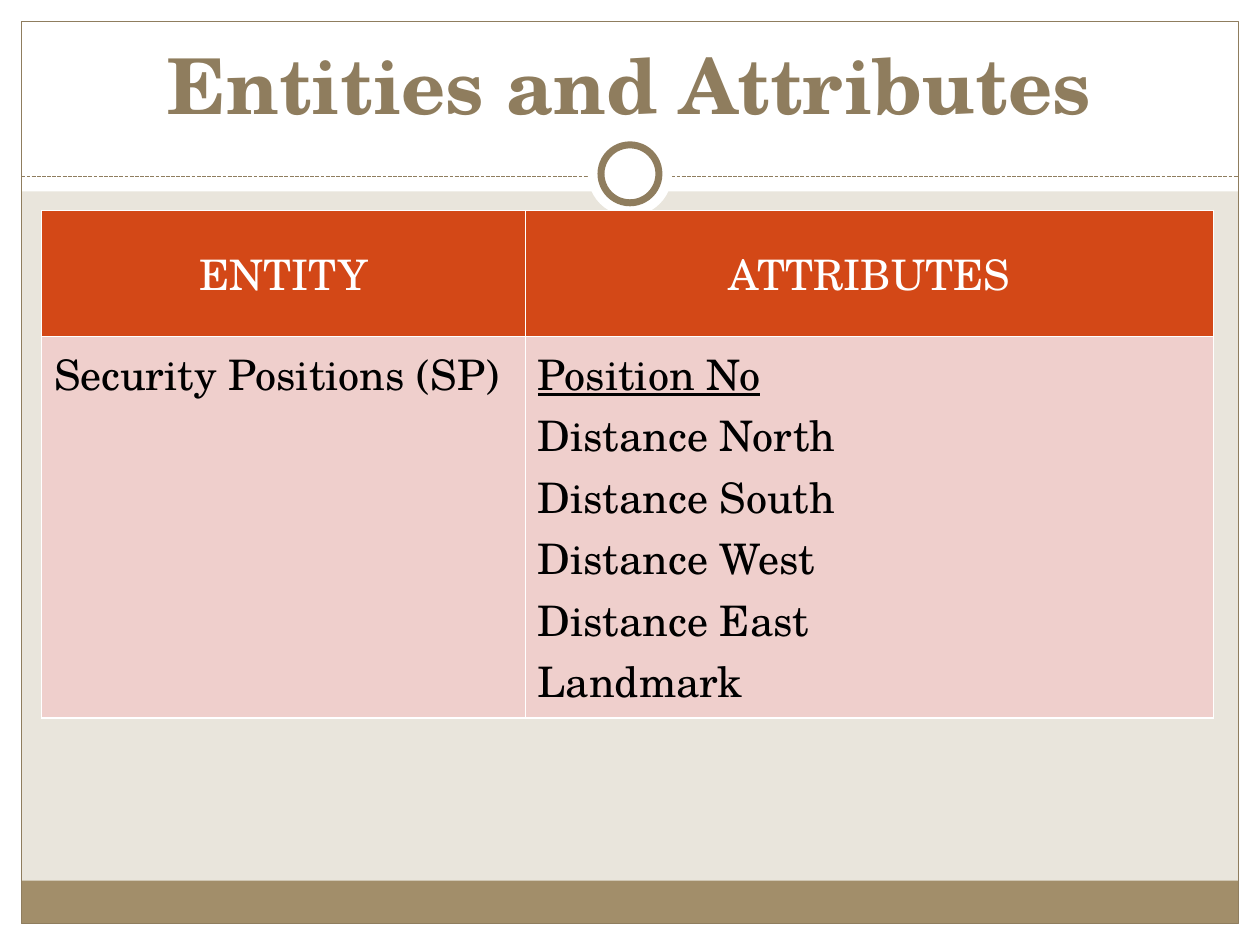
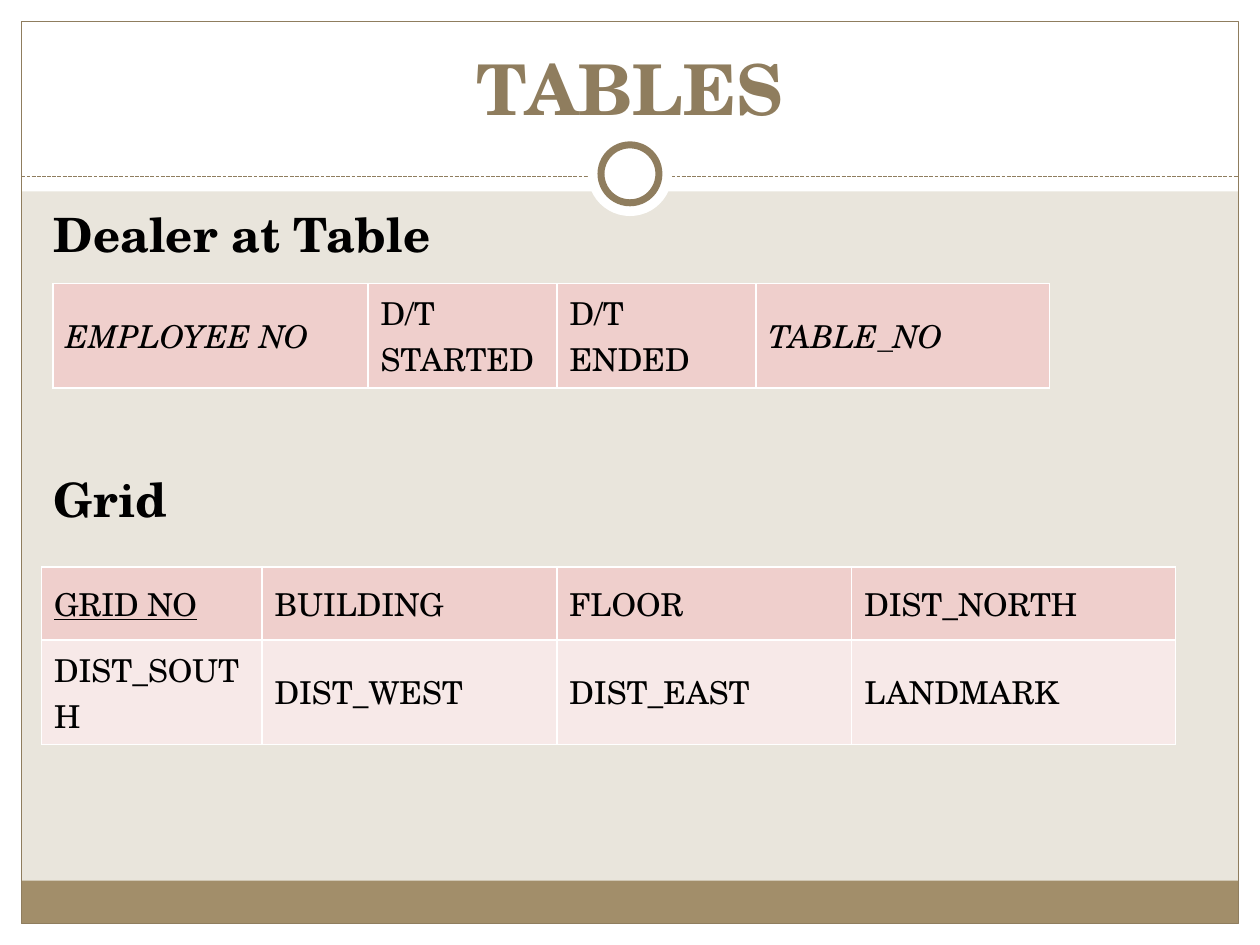
from lxml import etree
from pptx import Presentation, util as u
from pptx.dml.color import RGBColor
from pptx.enum import dml, shapes, text
from pptx.oxml.ns import qn

WIDTH, HEIGHT = 10, 7.5
MARGIN = 0.17
HEADER_HEIGHT = 1.52
FOOTER_HEIGHT = 0.34
RULE_Y = 1.4
RING_Y = 1.38
LEFT = 0.33

FONT = "TeX Gyre Schola"
WHITE = RGBColor(0xFF, 0xFF, 0xFF)
BLACK = RGBColor(0, 0, 0)
SAND = RGBColor(0xE9, 0xE5, 0xDC)
TAN = RGBColor(0xA2, 0x8E, 0x6A)
BROWN = RGBColor(0x8F, 0x7D, 0x5E)
ORANGE = RGBColor(0xD3, 0x48, 0x17)
PINK = RGBColor(0xEF, 0xCF, 0xCC)
PALE_PINK = RGBColor(0xF7, 0xE9, 0xE8)

# A cell is a list of lines; a line starting with "_" is underlined (primary key),
# one starting with "/" is italic (foreign key).
ENTITY_TABLE = {
    "at": (LEFT, 1.67), "columns": [3.84, 5.46], "heights": [1, 3.03],
    "size": 24, "fills": [ORANGE, PINK], "header": True,
    "anchors": [text.MSO_ANCHOR.MIDDLE, text.MSO_ANCHOR.TOP],
    "rows": [
        [["ENTITY"], ["ATTRIBUTES"]],
        [["Security Positions (SP)"],
         ["_Position No", "Distance North", "Distance South",
          "Distance West", "Distance East", "Landmark"]],
    ],
}
DEALER_TABLE = {
    "at": (0.42, 2.25), "columns": [2.5, 1.5, 1.58, 2.33], "heights": [0.83],
    "size": 18, "fills": [PINK], "header": False,
    "anchors": [text.MSO_ANCHOR.MIDDLE],
    "rows": [[["/EMPLOYEE NO"], ["D/T STARTED"], ["D/T ENDED"], ["/TABLE_NO"]]],
}
GRID_TABLE = {
    "at": (LEFT, 4.5), "columns": [1.75, 2.34, 2.34, 2.57], "heights": [0.58, 0.83],
    "size": 18, "fills": [PINK, PALE_PINK], "header": False,
    "anchors": [text.MSO_ANCHOR.MIDDLE] * 2,
    "rows": [
        [["_GRID NO"], ["BUILDING"], ["FLOOR"], ["DIST_NORTH"]],
        [["DIST_SOUTH"], ["DIST_WEST"], ["DIST_EAST"], ["LANDMARK"]],
    ],
}
SLIDES = [
    {"title": "Entities and Attributes", "title_size": 44,
     "headings": [], "tables": [ENTITY_TABLE]},
    {"title": "TABLES", "title_size": 40,
     "headings": ["Dealer at Table", "Grid"], "tables": [DEALER_TABLE, GRID_TABLE]},
]
HEADING_SIZE = 27
HEADING_GAP = 119  # points that leave room for the table under a heading


def style_font(font, size, color, bold=False):
    font.name, font.size, font.bold = FONT, u.Pt(size), bold
    font.color.rgb = color


def add_shape(slide, kind, left, top, width, height, fill=None, line=None, weight=0.75):
    shape = slide.shapes.add_shape(kind, *map(u.Inches, (left, top, width, height)))
    shape.shadow.inherit = False
    if fill is None:
        shape.fill.background()
    else:
        shape.fill.solid()
        shape.fill.fore_color.rgb = fill
    if line is None:
        shape.line.fill.background()
    else:
        shape.line.color.rgb = line
        shape.line.width = u.Pt(weight)


def add_backdrop(slide):
    """White margins, header and footer bands, frame, dashed rule and ring."""
    slide.background.fill.solid()
    slide.background.fill.fore_color.rgb = SAND
    rectangle, oval = shapes.MSO_SHAPE.RECTANGLE, shapes.MSO_SHAPE.OVAL
    inner_width, bottom = WIDTH - 2 * MARGIN, HEIGHT - MARGIN
    for box in [(0, bottom, WIDTH, MARGIN), (0, 0, WIDTH, HEADER_HEIGHT),
                (0, 0, MARGIN, HEIGHT), (WIDTH - MARGIN, 0, MARGIN, HEIGHT)]:
        add_shape(slide, rectangle, *box, fill=WHITE)
    add_shape(slide, rectangle, MARGIN, bottom - FOOTER_HEIGHT,
              inner_width, FOOTER_HEIGHT, fill=TAN)
    add_shape(slide, rectangle, MARGIN, MARGIN, inner_width, bottom - MARGIN, line=BROWN)

    rule = slide.shapes.add_connector(
        shapes.MSO_CONNECTOR.STRAIGHT,
        *map(u.Inches, (MARGIN, RULE_Y, WIDTH - MARGIN, RULE_Y)))
    rule.line.color.rgb = BROWN
    rule.line.width = u.Pt(0.75)
    rule.line.dash_style = dml.MSO_LINE.SQUARE_DOT
    etree.SubElement(rule._element.spPr, qn("a:effectLst"))

    for diameter, line in [(0.67, None), (0.46, BROWN)]:
        add_shape(slide, oval, (WIDTH - diameter) / 2, RING_Y - diameter / 2,
                  diameter, diameter, fill=WHITE, line=line, weight=4)


def add_text(slide, box, lines, size, color, align, anchor, gap=0):
    text_frame = slide.shapes.add_textbox(*map(u.Inches, box)).text_frame
    text_frame.word_wrap = True
    text_frame.vertical_anchor = anchor
    text_frame.text = "\n".join(lines)
    for index, paragraph in enumerate(text_frame.paragraphs):
        paragraph.alignment = align
        if index:
            paragraph.space_before = u.Pt(gap)
        style_font(paragraph.runs[0].font, size, color, bold=True)


def set_borders(cell):
    properties = cell._tc.get_or_add_tcPr()
    for side in "LRTB":
        line = etree.SubElement(properties, qn(f"a:ln{side}"), w=str(u.Pt(1)))
        fill = etree.SubElement(line, qn("a:solidFill"))
        etree.SubElement(fill, qn("a:srgbClr"), val=str(WHITE))


def fill_cell(cell, lines, size, color, align):
    cell.text_frame.text = "\n".join(line.lstrip("_/") for line in lines)
    for paragraph, line in zip(cell.text_frame.paragraphs, lines):
        paragraph.alignment = align
        font = paragraph.runs[0].font
        style_font(font, size, color)
        font.underline = line.startswith("_")
        font.italic = line.startswith("/")


def add_table(slide, content):
    rows, columns, heights = content["rows"], content["columns"], content["heights"]
    box = (*content["at"], sum(columns), sum(heights))
    table = slide.shapes.add_table(len(rows), len(columns), *map(u.Inches, box)).table
    table.first_row = content["header"]
    for column, width in zip(table.columns, columns):
        column.width = u.Inches(width)
    for row_index, row in enumerate(rows):
        table.rows[row_index].height = u.Inches(heights[row_index])
        is_header = content["header"] and row_index == 0
        for column_index, lines in enumerate(row):
            cell = table.cell(row_index, column_index)
            cell.vertical_anchor = content["anchors"][row_index]
            set_borders(cell)
            cell.fill.solid()
            cell.fill.fore_color.rgb = content["fills"][row_index]
            fill_cell(cell, lines, content["size"], WHITE if is_header else BLACK,
                      text.PP_ALIGN.CENTER if is_header else text.PP_ALIGN.LEFT)


def main():
    presentation = Presentation()
    presentation.slide_width, presentation.slide_height = u.Inches(WIDTH), u.Inches(HEIGHT)
    for content in SLIDES:
        slide = presentation.slides.add_slide(presentation.slide_layouts[6])
        add_backdrop(slide)
        add_text(slide, (LEFT, 0.25, WIDTH - 2 * LEFT, 0.83), [content["title"]],
                 content["title_size"], BROWN, text.PP_ALIGN.CENTER, text.MSO_ANCHOR.BOTTOM)
        if content["headings"]:
            add_text(slide, (LEFT, 1.58, 9.3, 5.33), content["headings"], HEADING_SIZE,
                     BLACK, text.PP_ALIGN.LEFT, text.MSO_ANCHOR.TOP, HEADING_GAP)
        for table in content["tables"]:
            add_table(slide, table)
    presentation.save("out.pptx")


if __name__ == "__main__":
    main()
